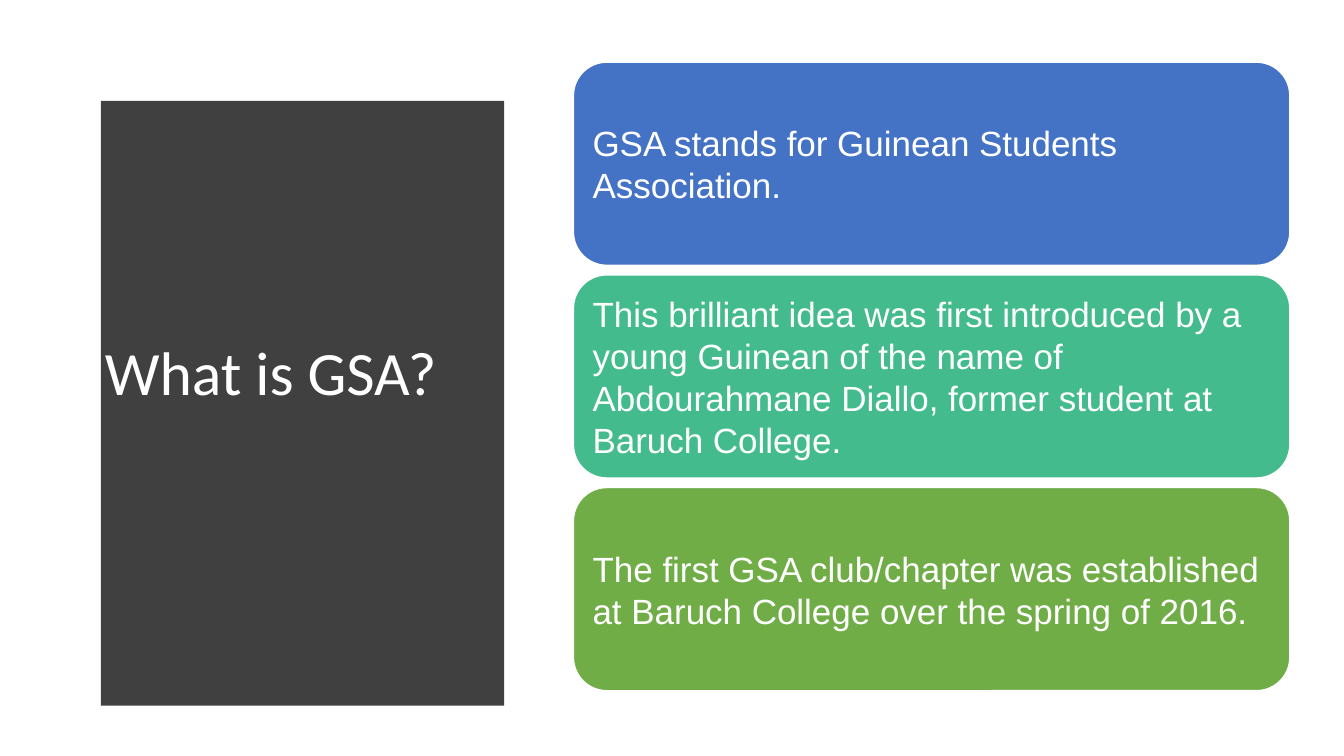
from pptx import Presentation
from pptx.dml.color import RGBColor
from pptx.enum.shapes import MSO_SHAPE
from pptx.enum.text import MSO_ANCHOR, PP_ALIGN
from pptx.util import Inches, Pt

ROUND = MSO_SHAPE.ROUNDED_RECTANGLE
MIDDLE = MSO_ANCHOR.MIDDLE
LEFT = PP_ALIGN.LEFT

# Content
TITLE = "What is GSA?"
CARDS = [
    ("GSA stands for Guinean Students Association.", "blue"),
    ("This brilliant idea was first introduced by a young Guinean of the name of "
     "Abdourahmane Diallo, former student at Baruch College.", "teal"),
    ("The first GSA club/chapter was established at Baruch College over the "
     "spring of 2016.", "green"),
]
COLORS = {"dark": "404040", "white": "FFFFFF", "blue": "4472C4",
          "teal": "43BB8D", "green": "70AD47"}

# Panel outline: left edge, then the curved right edge from top to bottom
EDGE = 0.53
CURVE = [(5.08, 0.52), (5.11, 0.74), (5.14, 0.89), (5.18, 1.19), (5.21, 1.49),
         (5.24, 1.79), (5.27, 2.09), (5.29, 2.38), (5.3, 2.68), (5.31, 2.97),
         (5.32, 3.25), (5.32, 3.94), (5.31, 4.2), (5.3, 4.58), (5.28, 4.95),
         (5.25, 5.4), (5.22, 5.81), (5.18, 6.17), (5.14, 6.48), (5.11, 6.72),
         (5.08, 6.96)]

# Card grid
CARD_X, CARD_Y, CARD_W, CARD_H, STEP = 5.68, 0.61, 7.12, 2.03, 2.11


def color(name):
    return RGBColor.from_string(COLORS[name])


def write(shape, text, size, font):
    frame = shape.text_frame
    frame.word_wrap = True
    frame.vertical_anchor = MIDDLE
    frame.margin_left = frame.margin_right = Inches(0.1)
    frame.margin_top = frame.margin_bottom = Inches(0.1)
    para = frame.paragraphs[0]
    para.alignment = LEFT
    run = para.add_run()
    run.text = text
    run.font.size = Pt(size)
    run.font.name = font
    run.font.color.rgb = color("white")
    return para


def main():
    prs = Presentation()
    prs.slide_width, prs.slide_height = Inches(13.33), Inches(7.5)
    slide = prs.slides.add_slide(prs.slide_layouts[5])
    shapes = slide.shapes
    title = shapes.title

    # Dark panel, placed behind the title
    top, base = CURVE[0][1], CURVE[-1][1]
    pen = shapes.build_freeform(EDGE, top, scale=Inches(1))
    pen.add_line_segments(CURVE + [(EDGE, base)], close=True)
    panel = pen.convert_to_shape()
    panel.shadow.inherit = False
    panel.fill.solid()
    panel.fill.fore_color.rgb = color("dark")
    panel.line.fill.background()
    title._element.addprevious(panel._element)

    # Title
    title.left, title.top = Inches(0.94), Inches(1.11)
    title.width, title.height = Inches(3.74), Inches(5.24)
    write(title, TITLE, 44, "Calibri").line_spacing = 0.9

    # Cards
    for row, (text, fill) in enumerate(CARDS):
        card = shapes.add_shape(ROUND, Inches(CARD_X), Inches(CARD_Y + row * STEP),
                                Inches(CARD_W), Inches(CARD_H))
        card.shadow.inherit = False
        card.fill.solid()
        card.fill.fore_color.rgb = color(fill)
        card.line.color.rgb = color("white")
        card.line.width = Pt(2)
        write(card, text, 25, "Arial").space_after = Pt(8.75)

    prs.save("out.pptx")


if __name__ == "__main__":
    main()
